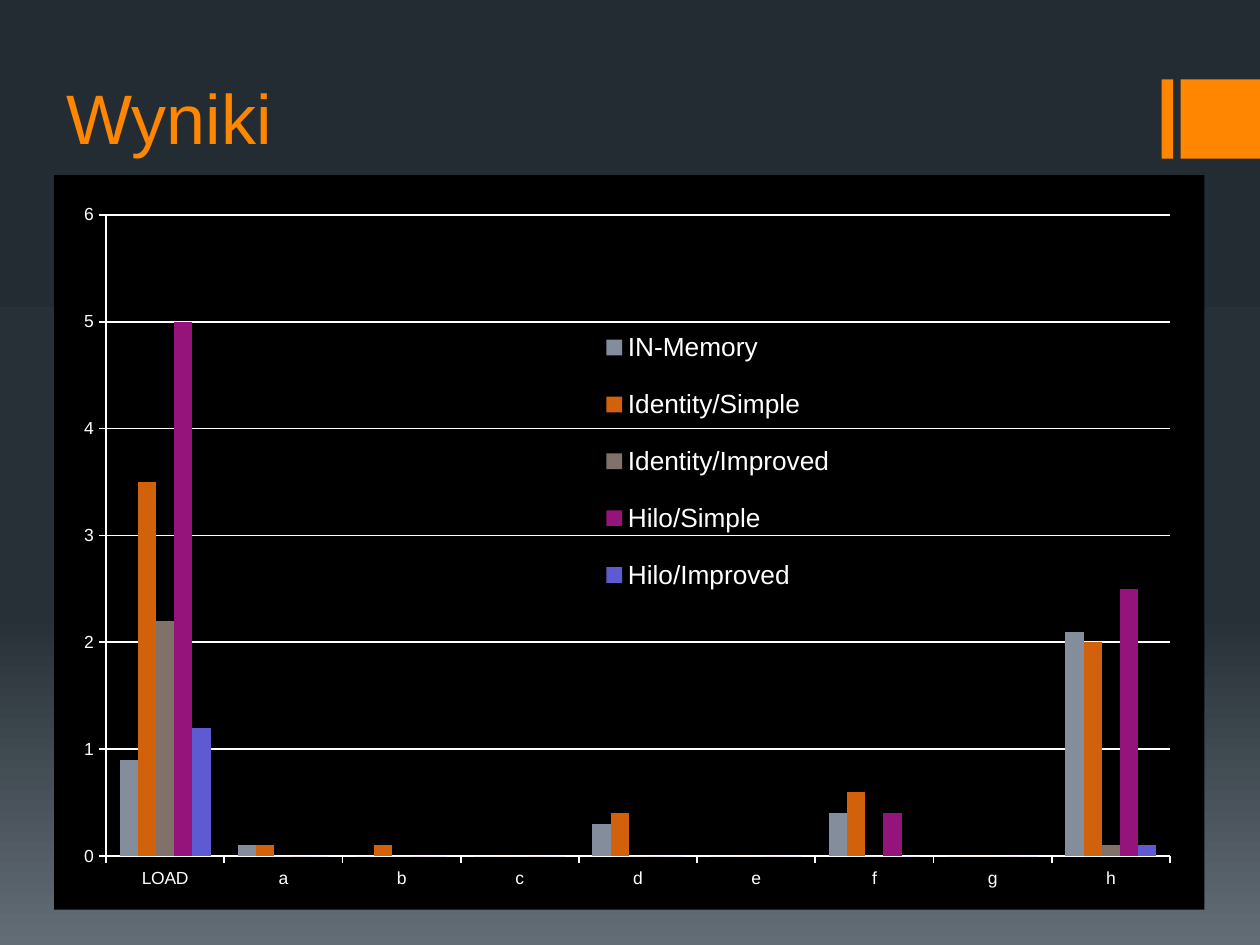
from copy import deepcopy

from pptx import Presentation
from pptx.chart.data import CategoryChartData
from pptx.dml.color import RGBColor
from pptx.enum.chart import XL_CHART_TYPE as CT, XL_LEGEND_POSITION as LP, XL_TICK_MARK as TM
from pptx.enum.shapes import MSO_SHAPE as SHAPE
from pptx.enum.text import MSO_ANCHOR as ANCHOR
from pptx.oxml import parse_xml
from pptx.oxml.ns import nsdecls, qn
from pptx.util import Inches, Pt

W, H = 10, 7.5
FONT = "Arial"
ORANGE, WHITE, BLACK = "FF8600", "FFFFFF", "000000"
MARGIN = 0.43
BACKDROP = [(0, "242C33"), (0.65, "273037"), (1, "636D76")]
CATEGORIES = ["LOAD", *"abcdefgh"]
SERIES = [
    ("IN-Memory", "838D9B", [0.9, 0.1, 0, 0, 0.3, 0, 0.4, 0, 2.1]),
    ("Identity/Simple", "D2610C", [3.5, 0.1, 0.1, 0, 0.4, 0, 0.6, 0, 2]),
    ("Identity/Improved", "80716A", [2.2, 0, 0, 0, 0, 0, 0, 0, 0.1]),
    ("Hilo/Simple", "94147C", [5, 0, 0, 0, 0, 0, 0.4, 0, 2.5]),
    ("Hilo/Improved", "5D5AD2", [1.2, 0, 0, 0, 0, 0, 0, 0, 0.1]),
]


def rgb(value):
    return RGBColor.from_string(value)


def box(x, y, w, h):
    return [Inches(v) for v in (x, y, w, h)]


def style_font(font, size, color):
    font.name, font.size = FONT, Pt(size)
    font.color.rgb = rgb(color)


def paint_background(s, stops):
    fill = s.background.fill
    fill.gradient()
    fill.gradient_angle = 270
    # The default gradient has two stops; add one for the middle
    stop_list = s.background._cSld.find(".//" + qn("a:gsLst"))
    stop_list.append(deepcopy(stop_list[-1]))
    for stop, (position, color) in zip(fill.gradient_stops, stops):
        stop.position = position
        stop.color.rgb = rgb(color)


def add_block(s, x, y, w, h, color):
    sp = s.shapes.add_shape(SHAPE.RECTANGLE, *box(x, y, w, h))
    sp.shadow.inherit = False
    sp.fill.solid()
    sp.fill.fore_color.rgb = rgb(color)
    sp.line.fill.background()


def add_title(s, text, x, y, w, h):
    tf = s.shapes.add_textbox(*box(x, y, w, h)).text_frame
    tf.word_wrap = True
    tf.vertical_anchor = ANCHOR.BOTTOM
    r = tf.paragraphs[0].add_run()
    r.text = text
    style_font(r.font, 40, ORANGE)


def manual_layout(x, y, w, h, inner=False):
    target = '<c:layoutTarget val="inner"/>' if inner else ""
    sizes = "".join(f'<c:{tag} val="{v}"/>' for tag, v in zip("xywh", (x, y, w, h)))
    return parse_xml(
        f'<c:layout {nsdecls("c")}><c:manualLayout>{target}'
        f'<c:xMode val="edge"/><c:yMode val="edge"/>{sizes}</c:manualLayout></c:layout>')


def style_line(line):
    line.color.rgb = rgb(WHITE)
    line.width = Pt(1)


def place_part(part, layout, before):
    """Give a chart part a fixed place; its layout goes ahead of `before`."""
    for old in part.findall(qn("c:layout")):
        part.remove(old)
    part.find(qn(before)).addprevious(layout)


def add_results_chart(s, x, y, w, h):
    data = CategoryChartData()
    data.categories = CATEGORIES
    for name, _, values in SERIES:
        data.add_series(name, values)
    chart = s.shapes.add_chart(CT.COLUMN_CLUSTERED, *box(x, y, w, h), data).chart
    chart.has_title = False
    style_font(chart.font, 10, WHITE)

    # Columns
    plot = chart.plots[0]
    plot.gap_width, plot.overlap = 150, 0
    plot.vary_by_categories = False
    for series, (_, color, _) in zip(plot.series, SERIES):
        series.format.fill.solid()
        series.format.fill.fore_color.rgb = rgb(color)

    # Axes
    for axis in (chart.category_axis, chart.value_axis):
        axis.major_tick_mark, axis.minor_tick_mark = TM.OUTSIDE, TM.NONE
        style_line(axis.format.line)
    values = chart.value_axis
    values.minimum_scale, values.maximum_scale, values.major_unit = 0, 6, 1
    values.has_major_gridlines = True
    style_line(values.major_gridlines.format.line)
    values.tick_labels.number_format = "General"
    values.tick_labels.number_format_is_linked = False

    # Legend over the plot
    chart.has_legend = True
    legend = chart.legend
    legend.position = LP.RIGHT
    legend.include_in_layout = False
    style_font(legend.font, 15, WHITE)
    place_part(legend._element, manual_layout(0.472, 0.177, 0.21, 0.425), "c:overlay")

    # Plot place and black chart area
    root = chart._chartSpace
    place_part(root.chart.plotArea, manual_layout(0.045, 0.054, 0.925, 0.873, True), "c:barChart")
    root.chart.addnext(parse_xml(
        f'<c:spPr {nsdecls("c", "a")}><a:solidFill><a:srgbClr val="{BLACK}"/></a:solidFill>'
        '<a:ln><a:noFill/></a:ln></c:spPr>'))


def main():
    prs = Presentation()
    prs.slide_width, prs.slide_height = Inches(W), Inches(H)
    s = prs.slides.add_slide(prs.slide_layouts[6])
    paint_background(s, BACKDROP)

    # Corner accent: a thin bar and a square at the right edge
    side = 0.63
    for left, width in ((9.22, 0.09), (W - side, side)):
        add_block(s, left, side, width, side, ORANGE)

    add_title(s, "Wyniki", MARGIN, 0.13, 0.8 * W, 1.18)
    add_results_chart(s, MARGIN, 1.39, 9.13, 5.83)
    prs.save("out.pptx")


if __name__ == "__main__":
    main()
